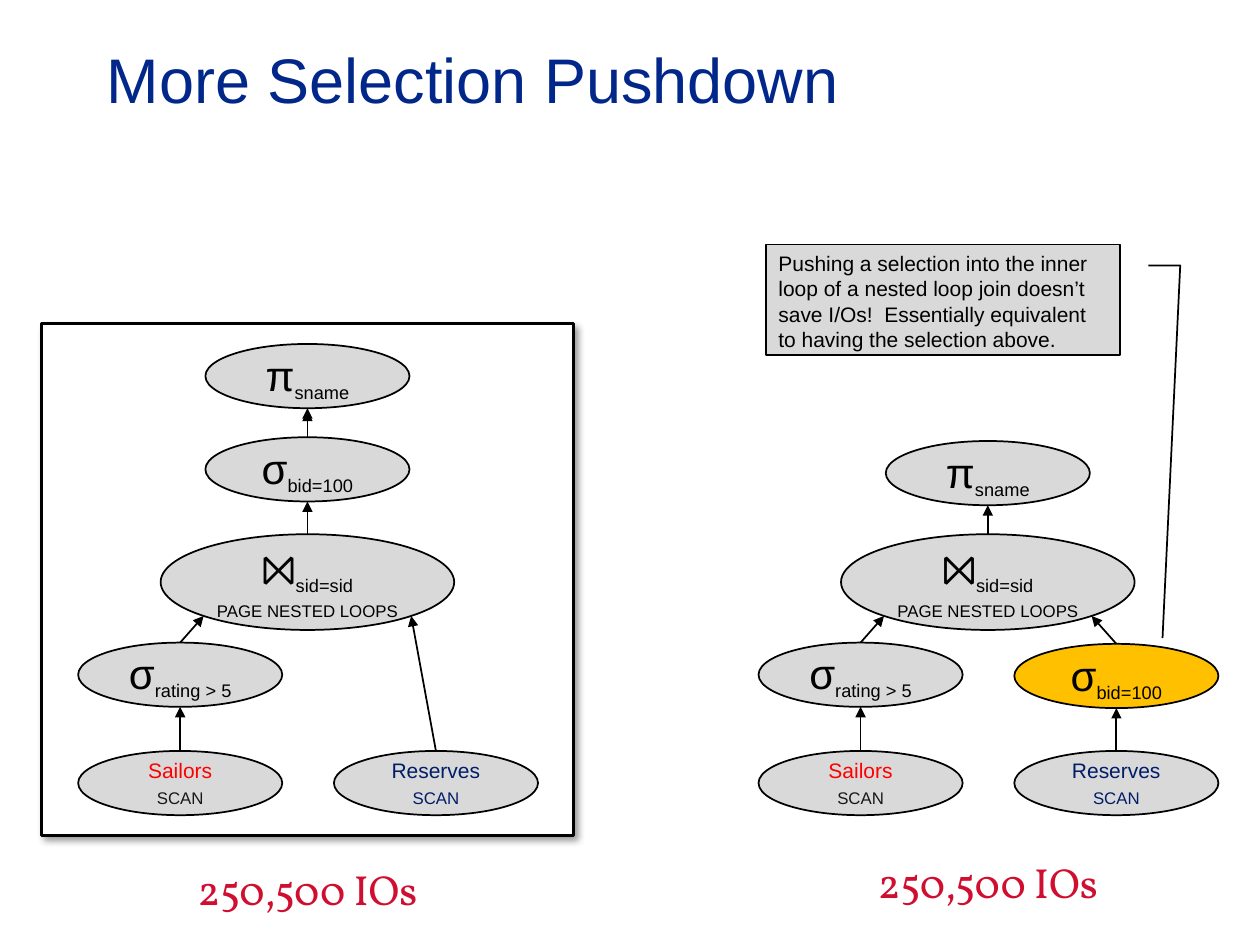
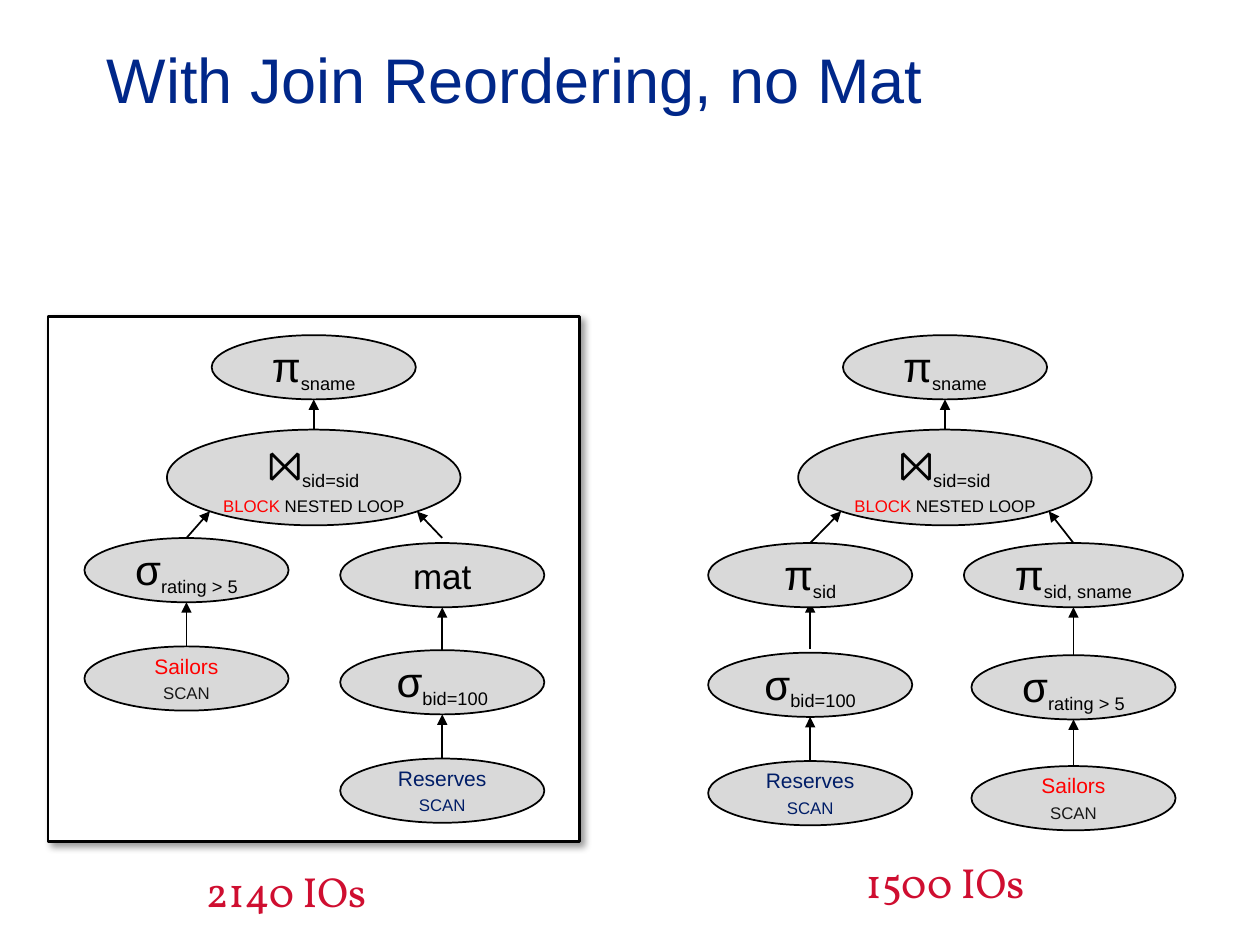
from dataclasses import dataclass

from lxml import etree
from pptx import Presentation
from pptx.dml.color import RGBColor
from pptx.enum import shapes, text
from pptx.oxml import ns
from pptx.util import Emu, Pt

PX = 9144
BLACK, WHITE, GREY, AMBER = "000000", "FFFFFF", "D9D9D9", "FFC000"
RED, NAVY, INK = "FF0000", "001D67", "181818"
TITLE_BLUE, CRIMSON = "002789", "CF0E30"
LEFT, TRUNK, RIGHT = 110, 211, 313
DIAGONAL = 0.3535
CENTER = text.PP_ALIGN.CENTER
MIDDLE = text.MSO_ANCHOR.MIDDLE


def px(*values):
    return [Emu(round(v * PX)) for v in values]


def rgb(value):
    return RGBColor.from_string(value)


def sub(parent, tag, **attrs):
    return etree.SubElement(parent, ns.qn(tag), attrs)


def style(size, color=BLACK, name="Arial", **attrs):
    return {"font": {"size": Pt(size), "name": name}, "color": color, "attrs": attrs}


def write(sp, paras, align=None, anchor=MIDDLE, wrap=True, side=10):
    tf = sp.text_frame
    settings = {"word_wrap": wrap, "vertical_anchor": anchor,
                "margin_left": px(side)[0], "margin_right": px(side)[0]}
    for key, value in settings.items():
        setattr(tf, key, value)
    for i, runs in enumerate(paras):
        p = tf.add_paragraph() if i else tf.paragraphs[0]
        p.alignment = align
        for content, fmt in runs:
            if content == "\n":
                p.add_line_break()
                continue
            r = p.add_run()
            r.text = content
            for key, value in fmt["font"].items():
                setattr(r.font, key, value)
            r.font.color.rgb = rgb(fmt["color"])
            for key, value in fmt["attrs"].items():
                r.font._element.set(key, value)


def add_label(s, box, content, fmt, **options):
    write(s.shapes.add_textbox(*px(*box)), [[(content, fmt)]], **options)


def add_box(s, kind, box, fill, weight=1):
    sp = s.shapes.add_shape(kind, *px(*box))
    sp.shadow.inherit = False
    sp.fill.solid()
    sp.fill.fore_color.rgb = rgb(fill)
    sp.line.color.rgb = rgb(BLACK)
    sp.line.width = Pt(weight)
    return sp


def add_arrow(s, x1, y1, x2, y2):
    line = s.shapes.add_connector(shapes.MSO_CONNECTOR.STRAIGHT, *px(x1, y1, x2, y2))
    line.line.color.rgb = rgb(BLACK)
    line.line.width = Pt(1)
    sub(line.line._get_or_add_ln(), "a:tailEnd", type="triangle")
    sub(line._element.spPr, "a:effectLst")


def add_frame(s, x, y, height):
    sp = add_box(s, shapes.MSO_SHAPE.RECTANGLE, (x, y, 422, height), WHITE, 1.5)
    effects = sp._element.spPr.find(ns.qn("a:effectLst"))
    shadow = sub(effects, "a:outerShdw", blurRad=str(Pt(4)), dist=str(Pt(3)),
                 dir="2700000", algn="tl", rotWithShape="0")
    sub(sub(shadow, "a:srgbClr", val=BLACK), "a:alpha", val="40000")


@dataclass
class Node:
    paras: list
    cx: int
    top: int
    width: int = 162
    height: int = 51
    fill: str = GREY

    @property
    def bottom(self):
        return self.top + self.height


SUBSCRIPT = style(18, baseline="-25000")


def operator(symbol, subscript, cx, top, **options):
    return Node([[(symbol, style(24)), (subscript, SUBSCRIPT)]], cx, top, **options)


def scan(table, cx, top):
    color, scan_color = {"Sailors": (RED, INK), "Reserves": (NAVY, NAVY)}[table]
    return Node([[(table, style(12, color))],
                 [("scan", style(12, scan_color, cap="small"))]], cx, top)


def join(method, top):
    runs = [("⨝", style(24)), ("sid=sid", SUBSCRIPT), ("\n", None)]
    runs += [(word, style(12, color, cap="small")) for word, color in method]
    return Node([runs], TRUNK, top, 233, 76)


def add_plan(s, x, y, nodes, edges, cost, cost_at, frame=0, loose=()):
    if frame:
        add_frame(s, x, y, frame)
    for x1, y1, x2, y2 in loose:
        add_arrow(s, x + x1, y + y1, x + x2, y + y2)
    for n in nodes.values():
        box = (x + n.cx - n.width / 2, y + n.top, n.width, n.height)
        write(add_box(s, shapes.MSO_SHAPE.OVAL, box, n.fill), n.paras, CENTER, side=2)
    for edge in edges.split():
        child, parent = (nodes[key] for key in edge.split(">"))
        tip_x, tip_y = parent.cx, parent.bottom
        if child.cx != parent.cx:
            side = 1 if child.cx > parent.cx else -1
            tip_x += side * DIAGONAL * parent.width
            tip_y = parent.top + (0.5 + DIAGONAL) * parent.height
        add_arrow(s, x + child.cx, y + child.top, x + tip_x, y + tip_y)
    cx, top = cost_at
    add_label(s, (x + cx - 104, y + top, 208, 50), cost + " IOs",
              style(24, CRIMSON, "Vollkorn"), align=CENTER, wrap=False)


def add_callout(s, box, message):
    sp = add_box(s, shapes.MSO_SHAPE.LINE_CALLOUT_2, box, GREY)
    sp._element.spPr.get_or_add_xfrm().set("flipH", "1")
    for i, value in enumerate((0.19, -0.08, 0.19, -0.17, 3.55, -0.12)):
        sp.adjustments[i] = value
    write(sp, [[(message, style(12))]], text.PP_ALIGN.LEFT, text.MSO_ANCHOR.TOP)


def add_titled_slide(prs, title):
    s = prs.slides.add_slide(prs.slide_layouts[6])
    add_label(s, (75, 0, 850, 125), title, style(36, TITLE_BLUE))
    return s


def selection_slide(prs):
    s = add_titled_slide(prs, "More Selection Pushdown")
    shared = {
        "join": join([("page nested loops", BLACK)], 167),
        "rating": operator("σ", "rating > 5", LEFT, 253),
        "sailors": scan("Sailors", LEFT, 339),
        "reserves": scan("Reserves", RIGHT, 339),
    }
    add_plan(s, 33, 257, {
        "name": operator("π", "sname", TRUNK, 16),
        "bid": operator("σ", "bid=100", TRUNK, 90),
        **shared,
    }, "sailors>rating reserves>join rating>join join>bid bid>name",
        "250,500", (TRUNK, 423), 406, [(TRUNK, 93, TRUNK, 69)])
    add_plan(s, 573, 257, {
        "name": operator("π", "sname", TRUNK, 93),
        "bid": operator("σ", "bid=100", RIGHT, 254, fill=AMBER),
        **shared,
    }, "sailors>rating reserves>bid rating>join bid>join join>name",
        "250,500", (TRUNK, 418))
    add_callout(s, (608, 194, 281, 88),
                "Pushing a selection into the inner loop of a nested loop join "
                "doesn’t save I/Os!  Essentially equivalent to having the "
                "selection above.")


def reordering_slide(prs):
    s = add_titled_slide(prs, "With Join Reordering, no Mat")
    shared = {
        "name": operator("π", "sname", TRUNK, 15),
        "join": join([("block", RED), (" nested loop", BLACK)], 90),
    }
    add_plan(s, 38, 251, {
        **shared,
        "rating": operator("σ", "rating > 5", LEFT, 176),
        "sailors": scan("Sailors", LEFT, 262),
        "mat": Node([[("mat", style(20))]], RIGHT, 180),
        "bid": operator("σ", "bid=100", RIGHT, 265),
        "reserves": scan("Reserves", RIGHT, 351),
    }, "sailors>rating reserves>bid bid>mat rating>join join>name",
        "2140", (189, 431), 417, [(RIGHT, 176, 293, 155)])
    left = 104
    add_plan(s, 539, 251, {
        **shared,
        "sid": operator("π", "sid", left, 180),
        "bid": operator("σ", "bid=100", left, 267),
        "reserves": scan("Reserves", left, 353),
        "sid_name": operator("π", "sid, sname", RIGHT, 180, width=174),
        "rating": operator("σ", "rating > 5", RIGHT, 269),
        "sailors": scan("Sailors", RIGHT, 357),
    }, "reserves>bid sailors>rating rating>sid_name sid>join sid_name>join join>name",
        "1500", (TRUNK, 424), loose=[(left, 264, left, 227)])


def main():
    prs = Presentation()
    prs.slide_width, prs.slide_height = px(1000, 750)
    selection_slide(prs)
    reordering_slide(prs)
    prs.save("out.pptx")


if __name__ == "__main__":
    main()
